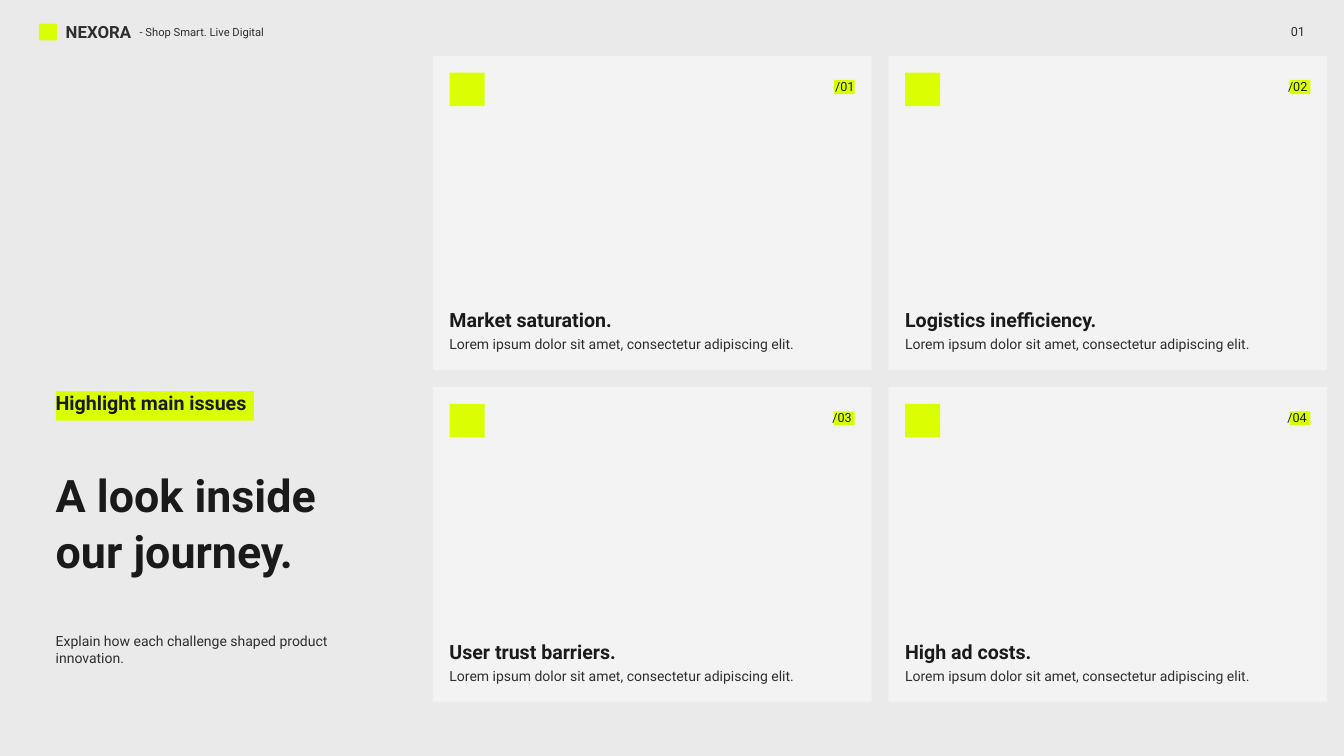
from pptx import Presentation
from pptx.dml.color import RGBColor
from pptx.enum import shapes, text
from pptx.util import Inches, Pt

LIME, CARD, BACK = "D9FF00", "F3F3F3", "EAEAEA"
DARK, GREY = "1A1A1A", "2E2E2E"
LOREM = "Lorem ipsum dolor sit amet, consectetur adipiscing elit."


def paint(fill, color):
    fill.solid()
    fill.fore_color.rgb = RGBColor.from_string(color)


def block(slide, x, y, w, h, color):
    shape = slide.shapes.add_shape(
        shapes.MSO_SHAPE.RECTANGLE, Inches(x), Inches(y), Inches(w), Inches(h))
    paint(shape.fill, color)
    shape.line.fill.background()
    shape.shadow.inherit = False


def label(slide, x, y, w, h, lines, size, color=DARK, bold=False, wrap=False):
    """Add a text box with one paragraph for each line."""
    box = slide.shapes.add_textbox(Inches(x), Inches(y), Inches(w), Inches(h))
    frame = box.text_frame
    frame.word_wrap = wrap
    frame.auto_size = text.MSO_AUTO_SIZE.SHAPE_TO_FIT_TEXT
    for i, line in enumerate(lines):
        para = frame.add_paragraph() if i else frame.paragraphs[0]
        run = para.add_run()
        run.text = line
        run.font.name = "Roboto"
        run.font.size = Pt(size)
        run.font.bold = bold
        paint(run.font.fill, color)


def header(slide, x, y):
    block(slide, x, y + 0.08, 0.27, 0.25, LIME)
    label(slide, x + 0.3, y, 1.25, 0.41, ["NEXORA"], 18, GREY, True)
    label(slide, x + 1.4, y + 0.05, 2.16, 0.31,
          ["- Shop Smart. Live Digital"], 12, GREY)
    label(slide, x + 18.53, y + 0.04, 0.41, 0.34, ["01"], 13.5, GREY)


def intro(slide, x, y):
    block(slide, x + 0.1, y + 0.05, 2.95, 0.44, LIME)
    label(slide, x, y, 3.14, 0.47, ["Highlight main issues"], 21, bold=True)
    label(slide, x, y + 1.14, 4.38, 0.94, ["A look inside"], 48, bold=True)
    label(slide, x, y + 1.98, 4.09, 0.94, ["our journey."], 48, bold=True)
    label(slide, x, y + 3.6, 4.95, 0.61,
          ["Explain how each challenge shaped product", "innovation."],
          15, GREY, wrap=True)


def card(slide, x, y, w, h, tag, tag_w, title, title_w):
    block(slide, x, y, w, h, CARD)
    block(slide, x + 0.25, y + 0.25, 0.52, 0.5, LIME)
    label(slide, x + 0.15, y + h - 0.97, title_w, 0.47, [title], 21, bold=True)
    label(slide, x + 0.15, y + h - 0.56, 5.67, 0.36, [LOREM], 15, GREY)
    block(slide, x + w - 0.56, y + 0.36, 0.31, 0.21, LIME)
    label(slide, x + w - 0.15 - tag_w, y + 0.29, tag_w, 0.34, [tag], 13.5)


def grid(slide, x, y, w, h, gap):
    cards = [
        ("/01", 0.49, "Market saturation.", 2.81),
        ("/02", 0.53, "Logistics inefficiency.", 3.32),
        ("/03", 0.53, "User trust barriers.", 2.83),
        ("/04", 0.54, "High ad costs.", 2.22),
    ]
    for i, parts in enumerate(cards):
        row, col = divmod(i, 2)
        card(slide, x + col * (w + gap), y + row * (h + gap), w, h, *parts)


def main():
    deck = Presentation()
    deck.slide_width, deck.slide_height = Inches(20), Inches(11.25)
    slide = deck.slides.add_slide(deck.slide_layouts[6])
    paint(slide.background.fill, BACK)
    grid(slide, 6.44, 0.83, 6.53, 4.68, 0.25)
    intro(slide, 0.73, 5.77)
    header(slide, 0.58, 0.27)
    deck.save("out.pptx")


if __name__ == "__main__":
    main()
